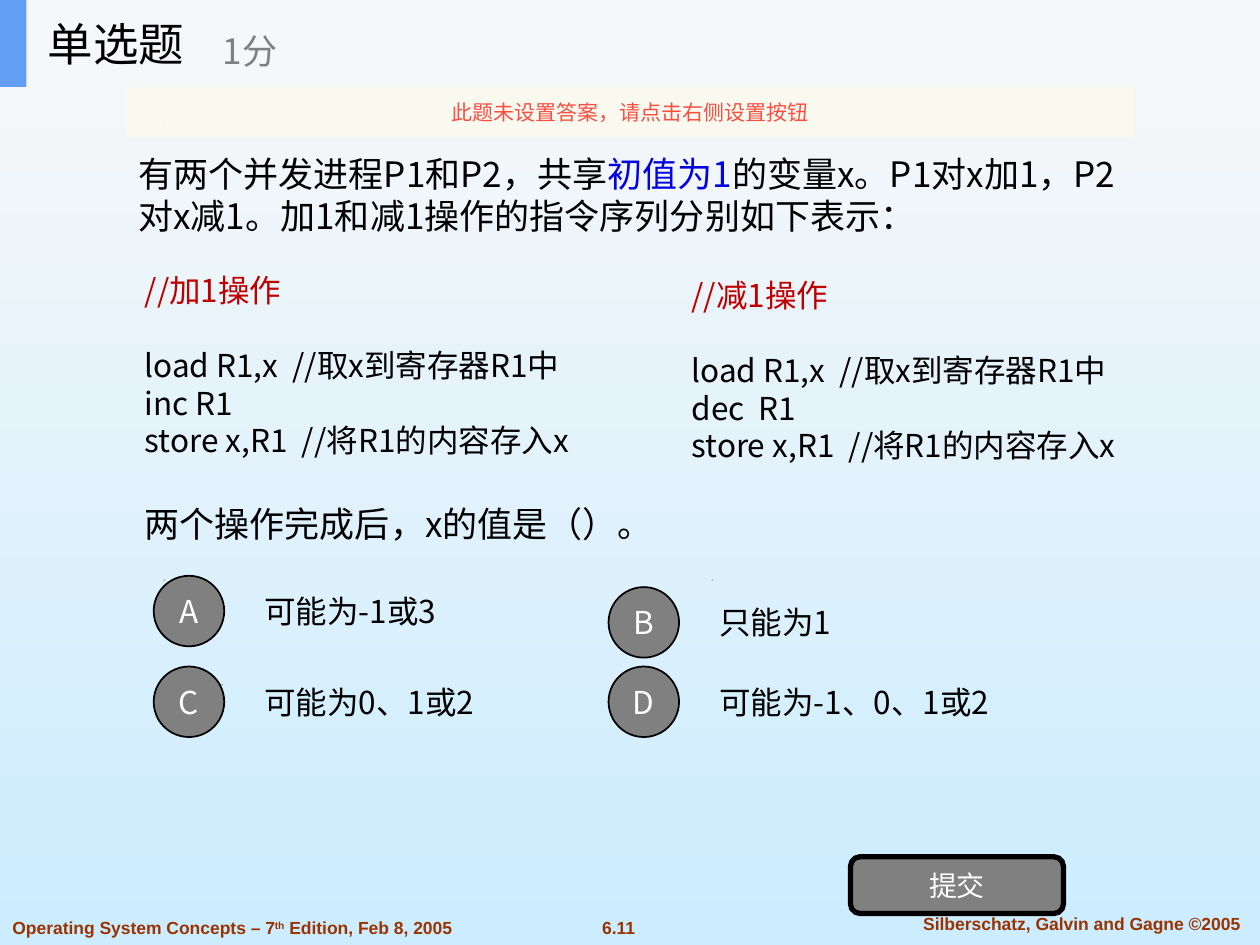
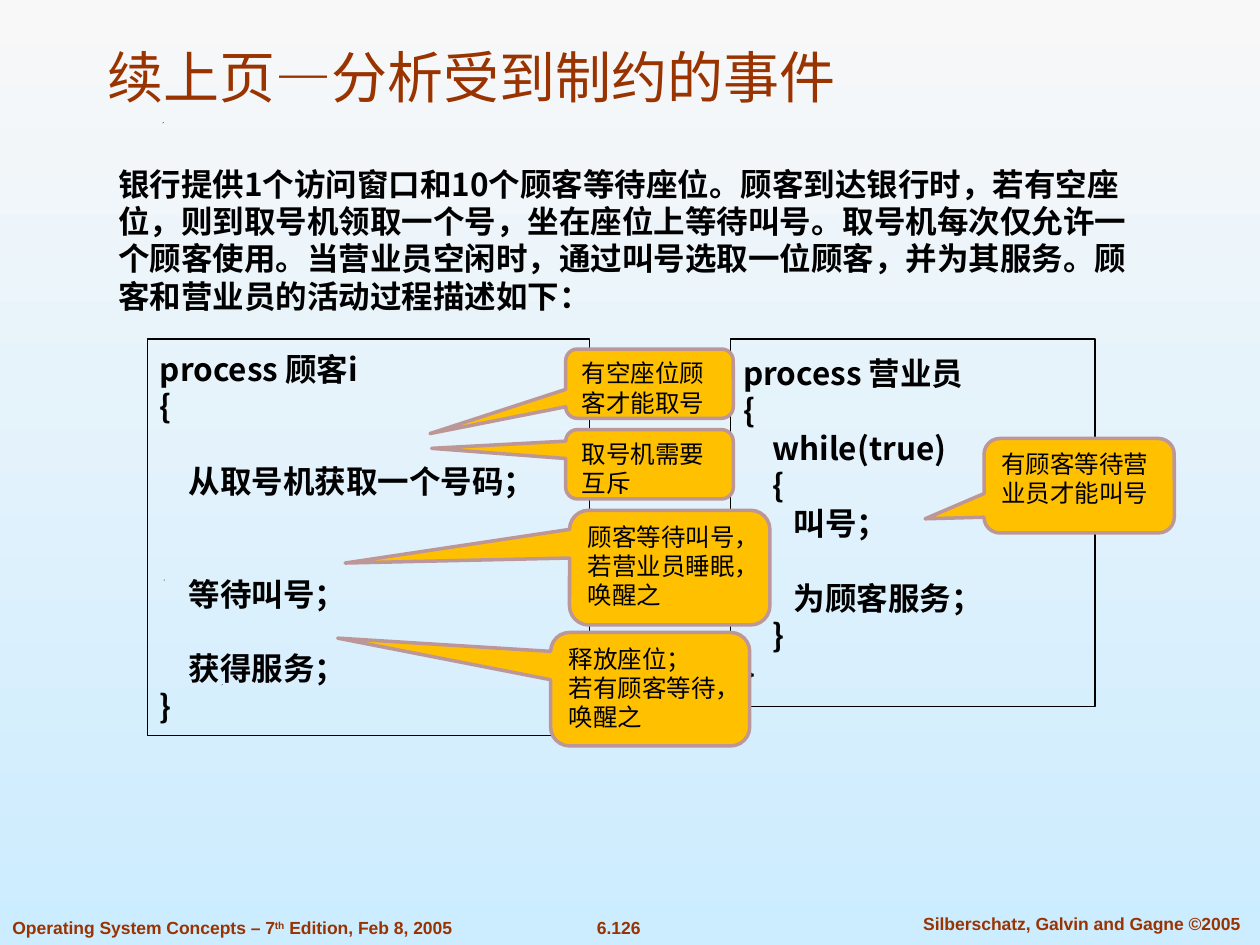
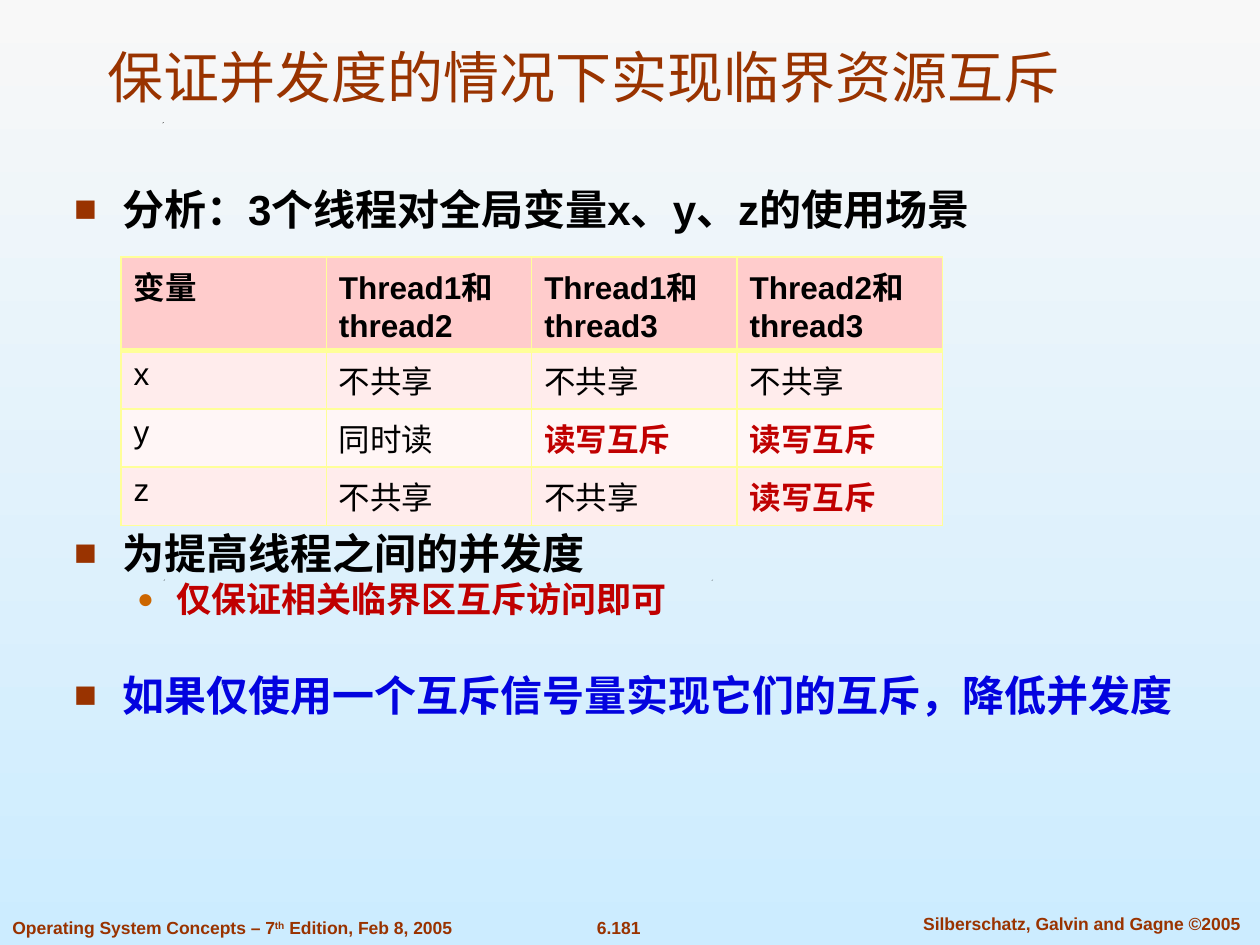
from dataclasses import dataclass

from lxml import etree
from pptx import Presentation
from pptx.dml.color import RGBColor
from pptx.enum.shapes import MSO_SHAPE
from pptx.enum.text import MSO_ANCHOR, MSO_AUTO_SIZE, PP_ALIGN
from pptx.oxml.ns import qn
from pptx.util import Inches, Pt

LEFT, CENTER = PP_ALIGN.LEFT, PP_ALIGN.CENTER
TOP, MIDDLE, BOTTOM = MSO_ANCHOR.TOP, MSO_ANCHOR.MIDDLE, MSO_ANCHOR.BOTTOM
RECT, ROUND = MSO_SHAPE.RECTANGLE, MSO_SHAPE.ROUNDED_RECTANGLE
OVAL, CALLOUT = MSO_SHAPE.OVAL, MSO_SHAPE.ROUNDED_RECTANGULAR_CALLOUT
FIXED = MSO_AUTO_SIZE.NONE


@dataclass(frozen=True)
class Theme:
    """Colours, fonts and type sizes shared by all slides."""
    sky_top: str = "F8F8F8"
    sky_end: str = "CCECFF"
    rust: str = "993300"
    orange: str = "CC6600"
    black: str = "000000"
    white: str = "FFFFFF"
    gray: str = "808080"
    red: str = "C00000"
    blue: str = "0303DF"
    band: str = "F6F7F8"
    accent: str = "639EF4"
    notice: str = "FBFAEF"
    alert: str = "F84F41"
    gold: str = "FFC000"
    mauve: str = "BD9797"
    grid: str = "FFFF99"
    head: str = "FFCCCC"
    odd: str = "FFECEC"
    even: str = "FFF6F6"
    latin: str = "Arial"
    cjk: str = "Noto Sans CJK SC"
    title: int = 32
    quiz: int = 26
    large: int = 24
    lead: int = 20
    body: int = 18
    button: int = 16
    note: int = 14
    small: int = 12
    foot: int = 10
    leading: float = 1.19


T = Theme()
LINE = T.body * T.leading


def rgb(code):
    """Turn a hex code into a colour."""
    return RGBColor.from_string(code)


def put(item, values):
    """Set attributes from a dict of format values."""
    for name, value in values.items():
        setattr(item, name, value)


def add_node(parent, tag, **attrs):
    """Append an XML child and return it."""
    return etree.SubElement(parent, qn(tag), attrs)


def add_run(para, text, size, color=T.black, font=T.cjk, bold=False, base=0):
    """Add one formatted run."""
    run = para.add_run()
    run.text = text
    put(run.font, {"size": Pt(size), "name": font, "bold": bold})
    run.font.color.rgb = rgb(color)
    props = run.font._element
    add_node(props, "a:ea", typeface=T.cjk)
    if base:
        props.set("baseline", str(base * 1000))


def add_bullet(para, char, color, scale, left, hang):
    """Give a paragraph a coloured hanging bullet."""
    props = para._p.get_or_add_pPr()
    props.set("marL", str(Inches(left)))
    props.set("indent", str(-Inches(hang)))
    tint = add_node(props, "a:buClr")
    add_node(tint, "a:srgbClr", val=color)
    add_node(props, "a:buSzPct", val=str(scale * 1000))
    add_node(props, "a:buFont", typeface=T.latin)
    add_node(props, "a:buChar", char=char)


def write(shape, paras, anchor=TOP, align=LEFT, leading=T.leading, **style):
    """Fill a shape with paragraphs, each a string or a dict of settings."""
    frame = shape.text_frame
    put(frame, {"word_wrap": True, "auto_size": FIXED,
                "vertical_anchor": anchor})
    for index, item in enumerate(paras):
        item = {"text": item} if isinstance(item, str) else item
        para = frame.paragraphs[0] if index == 0 else frame.add_paragraph()
        look = {**style, **item.get("look", {})}
        put(para, {"alignment": align, "space_before": Pt(item.get("gap", 0))})
        if leading:
            para.line_spacing = Pt(round(look["size"] * leading, 1))
        if "indent" in item:
            para._p.get_or_add_pPr().set("marL", str(Inches(item["indent"])))
        if "bullet" in item:
            add_bullet(para, *item["bullet"])
        for text, extra in item.get("runs") or [(item["text"], {})]:
            add_run(para, text, **{**look, **extra})


def add_text(slide, box, paras, **style):
    """Add a text box."""
    shape = slide.shapes.add_textbox(*map(Inches, box))
    write(shape, paras, **style)


def add_shape(slide, kind, box, fill=None, line=None, width=1.0):
    """Add a flat preset shape."""
    shape = slide.shapes.add_shape(kind, *map(Inches, box))
    shape.shadow.inherit = False
    if fill:
        shape.fill.solid()
        shape.fill.fore_color.rgb = rgb(fill)
    else:
        shape.fill.background()
    if line:
        shape.line.color.rgb = rgb(line)
        shape.line.width = Pt(width)
    else:
        shape.line.fill.background()
    return shape


def add_title(slide, text, box, anchor=BOTTOM, size=T.title, color=T.rust,
              font=T.latin):
    """Place the title placeholder above what is drawn so far."""
    title = slide.shapes.title
    put(title, dict(zip(("left", "top", "width", "height"),
                        map(Inches, box))))
    write(title, [text], anchor=anchor, size=size, color=color, font=font)
    slide.shapes._spTree.append(title._element)


def add_speck(slide, left, top):
    """Draw one of the tiny dark specks of the backdrop."""
    x, y, side = Inches(left), Inches(top), Inches(0.01)
    pen = slide.shapes.build_freeform(x, y + side)
    pen.add_line_segments([(x + side, y), (x, y + side // 2)], close=True)
    speck = pen.convert_to_shape()
    speck.shadow.inherit = False
    speck.fill.solid()
    speck.fill.fore_color.rgb = rgb(T.black)
    speck.line.fill.background()


def new_slide(deck, number):
    """Add a slide with the shared specks and footers."""
    slide = deck.slides.add_slide(deck.slide_layouts[5])
    for spot in ((1.76, 5.43), (1.3, 4.6), (5.65, 4.6), (1.29, 0.97)):
        add_speck(slide, *spot)
    foot = {"size": T.foot, "color": T.rust, "font": T.latin, "bold": True,
            "leading": None}
    edition = {"runs": [("Operating System Concepts – 7", {}),
                        ("th", {"base": 30}), (" Edition, Feb 8, 2005", {})]}
    add_text(slide, (0, 7.23, 4.11, 0.27), [edition], **foot)
    add_text(slide, (4.59, 7.23, 0.64, 0.27), [number], align=CENTER, **foot)
    add_text(slide, (7.1, 7.2, 2.97, 0.27),
             ["Silberschatz, Galvin and Gagne ©2005"], align=CENTER, **foot)
    return slide


def add_choice(slide, letter, text, left, top, width=2.28):
    """Add a lettered answer disc with its text."""
    disc = add_shape(slide, OVAL, (left, top, 0.56, 0.56), T.gray, T.black)
    put(disc.text_frame, {"margin_left": 0, "margin_right": 0})
    write(disc, [letter], MIDDLE, CENTER, size=T.body, color=T.white)
    add_text(slide, (left + 0.78, top - 0.07, width, 0.7), [text],
             anchor=MIDDLE, size=T.body)


def add_code(slide, left, top, name, step):
    """Add the instruction list of one operation."""
    add_text(slide, (left, top, 3.95, 1.54), [
        {"text": f"//{name}1操作", "look": {"color": T.red}},
        {"text": "load R1,x  //取x到寄存器R1中", "gap": LINE},
        step,
        "store x,R1  //将R1的内容存入x",
    ], anchor=MIDDLE, size=T.body)


def add_process(slide, box, paras):
    """Add an outlined box of process code."""
    shape = add_shape(slide, RECT, box, line=T.black, width=0.75)
    write(shape, paras, MIDDLE, size=T.body, bold=True)


def add_callout(slide, box, tip, paras):
    """Add a gold callout whose tail ends at tip."""
    shape = add_shape(slide, CALLOUT, box, T.gold, T.mauve, 2)
    for index, value in enumerate((*tip, 0.167)):
        shape.adjustments[index] = value
    write(shape, paras, size=T.note, font=T.latin)


def set_edges(cell, widths):
    """Draw the cell borders, given a width for each side."""
    props = cell._tc.get_or_add_tcPr()
    for index, (side, width) in enumerate(widths.items()):
        edge = etree.Element(qn(f"a:ln{side}"), w=str(Pt(width)))
        add_node(add_node(edge, "a:solidFill"), "a:srgbClr", val=T.grid)
        props.insert(index, edge)


def add_grid(slide, left, top, col, heights, rows):
    """Add the table of shared variables."""
    frame = slide.shapes.add_table(
        len(rows), len(rows[0]), Inches(left), Inches(top),
        Inches(col * len(rows[0])), Inches(sum(heights)))
    table = frame.table
    put(table, {"first_row": False, "horz_banding": False})
    for column in table.columns:
        column.width = Inches(col)
    for r, row in enumerate(rows):
        table.rows[r].height = Inches(heights[r])
        fill = T.head if r == 0 else (T.even, T.odd)[r % 2]
        for c, text in enumerate(row):
            cell = table.cell(r, c)
            cell.fill.solid()
            cell.fill.fore_color.rgb = rgb(fill)
            set_edges(cell, {"L": 1, "R": 1, "T": 3 if r == 1 else 1,
                             "B": 3 if r == 0 else 1})
            hot = text == "读写互斥"
            add_run(cell.text_frame.paragraphs[0], text, T.body,
                    T.red if hot else T.black, T.latin, hot or r == 0)


def quiz_slide(deck):
    """Build the single-choice question."""
    slide = new_slide(deck, "6.11")
    add_text(slide, (1, 0.97, 8, 1.15), [{"runs": [
        ("有两个并发进程P1和P2，共享", {}),
        ("初值为1", {"color": T.blue}),
        ("的变量x。P1对x加1，P2对x减1。加1和减1操作的指令序列分别如下表示：", {}),
    ]}], anchor=MIDDLE, size=T.lead)
    add_choice(slide, "A", "可能为-1或3", 1.22, 4.57)
    add_choice(slide, "B", "只能为1", 4.83, 4.66)
    add_choice(slide, "C", "可能为0、1或2", 1.22, 5.29)
    add_choice(slide, "D", "可能为-1、0、1或2", 4.83, 5.29, 3.17)
    button = add_shape(slide, ROUND, (6.75, 6.8, 1.69, 0.45), T.gray,
                       T.black, 3)
    write(button, ["提交"], MIDDLE, CENTER, size=T.button, color=T.white)
    add_text(slide, (1.05, 3.9, 8, 0.51), ["两个操作完成后，x的值是（）。"],
             anchor=MIDDLE, size=T.lead)
    add_code(slide, 1.05, 2.13, "加", "inc R1")
    add_code(slide, 5.39, 2.17, "减", "dec  R1")
    add_shape(slide, RECT, (0, 0, 10, 0.69), T.band)
    add_shape(slide, RECT, (0, 0, 0.21, 0.69), T.accent)
    add_title(slide, "单选题", (0.28, 0, 2.08, 0.69), MIDDLE, T.quiz,
              T.black, T.cjk)
    add_text(slide, (1.67, 0.12, 2.5, 0.56), ["1分"], anchor=MIDDLE,
             size=T.lead, color=T.gray)
    notice = add_shape(slide, RECT, (1, 0.69, 8, 0.4), T.notice)
    tint = notice._element.spPr.find(qn("a:solidFill"))[0]
    add_node(tint, "a:alpha", val="90000")
    write(notice, ["此题未设置答案，请点击右侧设置按钮"], MIDDLE, CENTER,
          size=T.small, color=T.alert)


def bank_slide(deck):
    """Build the bank process analysis."""
    slide = new_slide(deck, "6.126")
    add_title(slide, "续上页—分析受到制约的事件", (0.75, 0.25, 8.83, 0.67))
    add_text(slide, (0.84, 1.26, 8.24, 1.32), [
        "银行提供1个访问窗口和10个顾客等待座位。顾客到达银行时，若有空座位，"
        "则到取号机领取一个号，坐在座位上等待叫号。取号机每次仅允许一个顾客使用。"
        "当营业员空闲时，通过叫号选取一位顾客，并为其服务。"
        "顾客和营业员的活动过程描述如下："], size=T.body, bold=True)
    add_process(slide, (1.17, 2.69, 3.51, 3.15), [
        "process 顾客i", "{",
        {"text": "从取号机获取一个号码；", "indent": 0.23, "gap": LINE},
        {"text": "等待叫号；", "indent": 0.23, "gap": 2 * LINE},
        {"text": "获得服务；", "indent": 0.23, "gap": LINE},
        "}"])
    add_process(slide, (5.8, 2.69, 2.89, 2.92), [
        "process 营业员", "{",
        {"text": "while(true)", "indent": 0.23},
        {"text": "{", "indent": 0.23},
        {"text": "叫号；", "indent": 0.4},
        {"text": "为顾客服务；", "indent": 0.4, "gap": LINE},
        {"text": "}", "indent": 0.23},
        "}"])
    for box, tip, paras in (
        ((4.49, 2.77, 1.33, 0.55), (-1.31, 0.72), ["有空座位顾客才能取号"]),
        ((4.49, 3.41, 1.33, 0.55), (-1.3, -0.23), ["取号机需要互斥"]),
        ((7.81, 3.48, 1.51, 0.75), (-0.81, 0.35), ["有顾客等待营业员才能叫号"]),
        ((4.37, 5.02, 1.58, 0.9), (-1.57, -0.45),
         ["释放座位；", "若有顾客等待，唤醒之"]),
        ((4.52, 4.05, 1.59, 0.91), (-1.62, -0.04),
         ["顾客等待叫号，若营业员睡眠，唤醒之"]),
    ):
        add_callout(slide, box, tip, paras)


def thread_slide(deck):
    """Build the thread sharing analysis."""
    slide = new_slide(deck, "6.181")
    add_title(slide, "保证并发度的情况下实现临界资源互斥", (0.75, 0.25, 8.83, 0.67))
    square = ("■", T.rust, 90, 0.38, 0.38)
    dot = ("●", T.orange, 80, 0.81, 0.31)
    style = {"size": T.large, "font": T.latin, "bold": True}
    add_text(slide, (0.49, 1.41, 8.61, 0.63), [
        {"text": "分析：3个线程对全局变量x、y、z的使用场景", "bullet": square},
    ], **style)
    add_grid(slide, 0.96, 2.04, 1.63, [0.74, 0.46, 0.46, 0.46], [
        ["变量", "Thread1和thread2", "Thread1和thread3", "Thread2和thread3"],
        ["x", "不共享", "不共享", "不共享"],
        ["y", "同时读", "读写互斥", "读写互斥"],
        ["z", "不共享", "不共享", "读写互斥"],
    ])
    add_text(slide, (0.49, 4.14, 9.02, 1.97), [
        {"text": "为提高线程之间的并发度", "bullet": square},
        {"text": "仅保证相关临界区互斥访问即可", "bullet": dot,
         "look": {"size": T.lead, "color": T.red}},
        {"text": "如果仅使用一个互斥信号量实现它们的互斥，降低并发度",
         "bullet": square, "gap": T.large * T.leading,
         "look": {"color": T.blue}},
    ], **style)


def main():
    """Build and save the deck."""
    deck = Presentation()
    put(deck, {"slide_width": Inches(10), "slide_height": Inches(7.5)})
    sky = deck.slide_master.background.fill
    sky.gradient()
    sky.gradient_angle = 270
    for stop, color in zip(sky.gradient_stops, (T.sky_top, T.sky_end)):
        stop.color.rgb = rgb(color)
    quiz_slide(deck)
    bank_slide(deck)
    thread_slide(deck)
    deck.save("out.pptx")


main()
